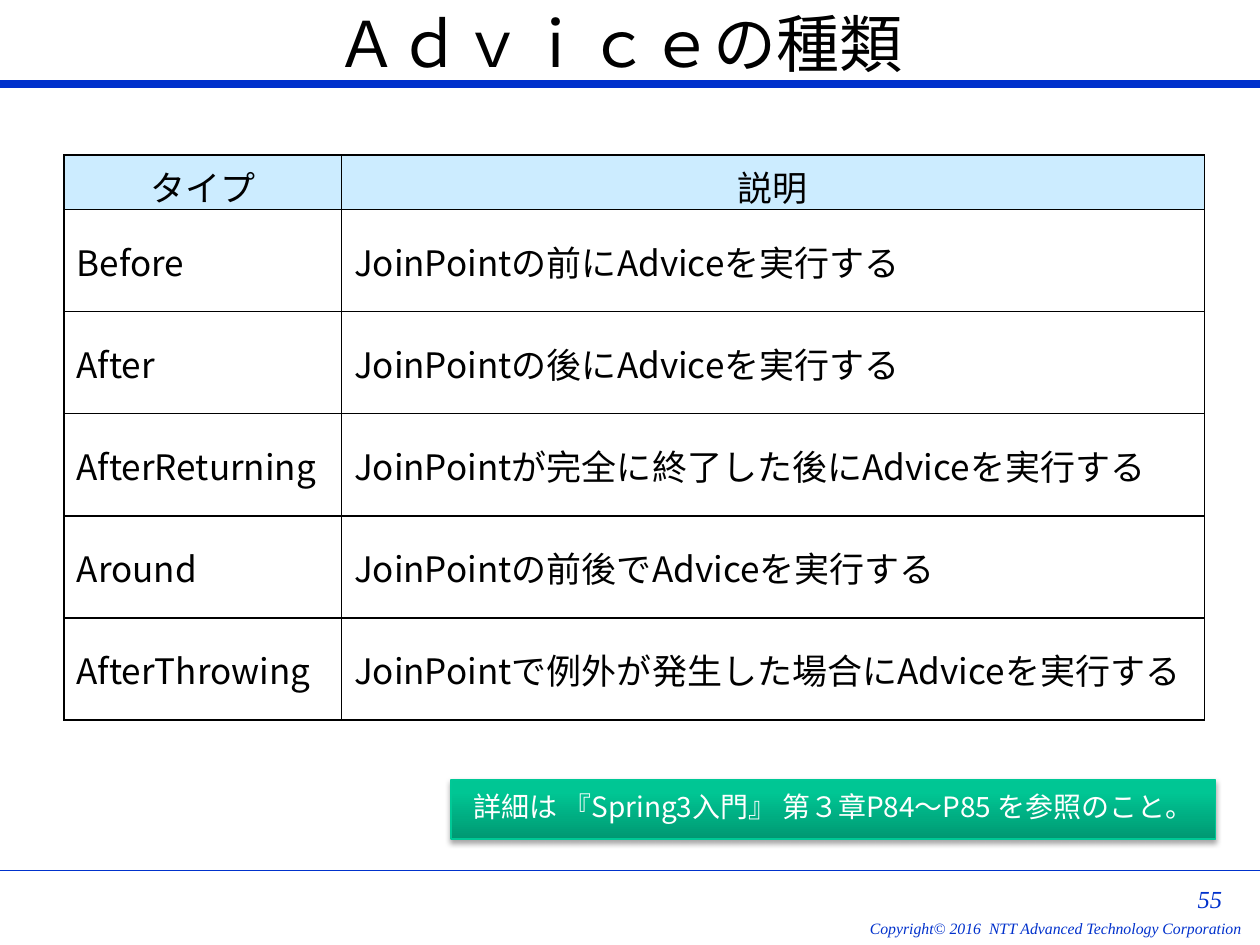
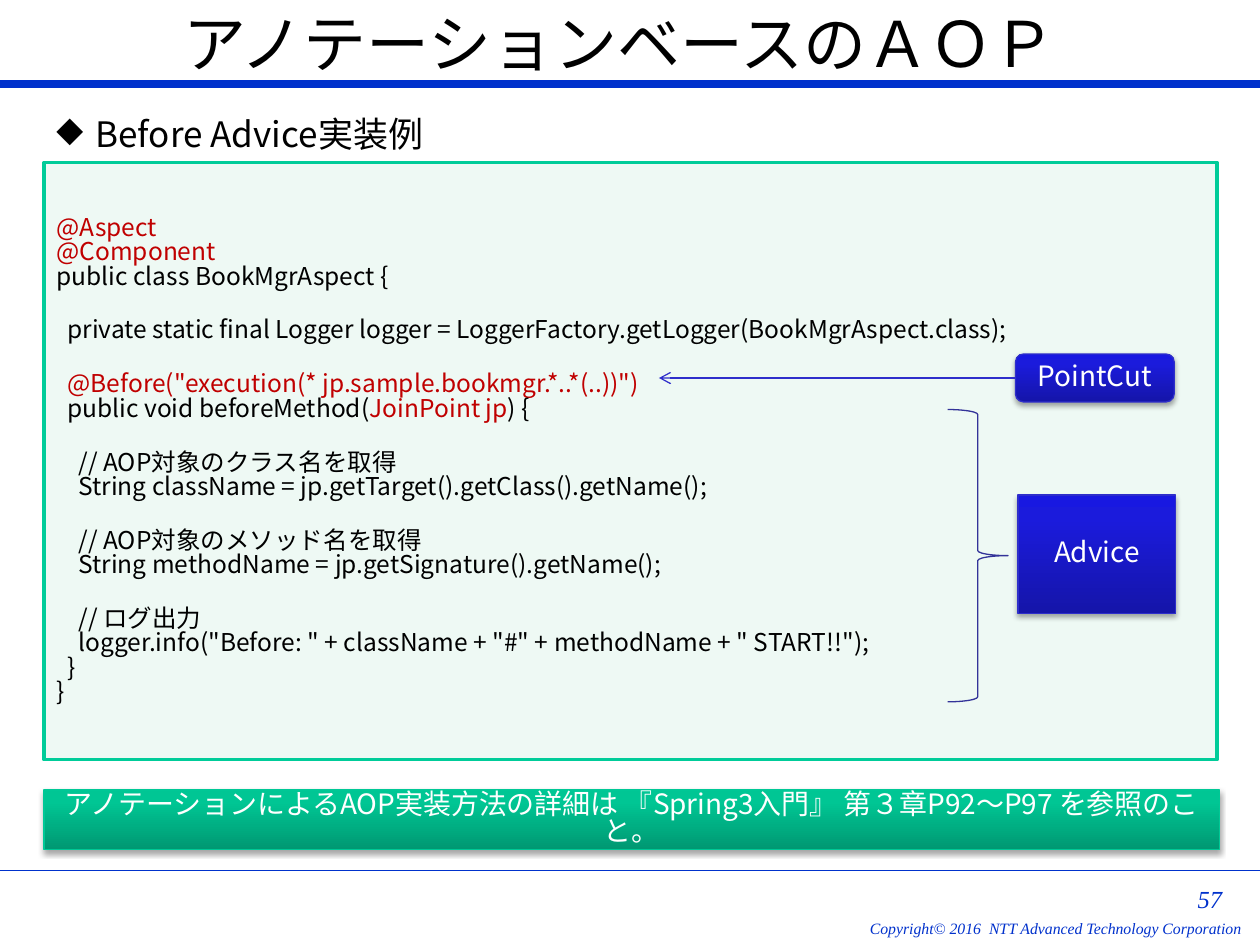
from copy import deepcopy

from lxml.etree import SubElement as Sub
from pptx import Presentation
from pptx.dml.color import RGBColor as RGB
from pptx.enum.shapes import MSO_CONNECTOR as CONN, MSO_SHAPE as SHAPE
from pptx.enum.text import MSO_ANCHOR as ANCHOR, PP_ALIGN as ALIGN
from pptx.oxml.ns import qn
from pptx.util import Inches, Pt

BLUE = RGB(0x00, 0x31, 0xCC)
BLACK = RGB(0x00, 0x00, 0x00)
WHITE = RGB(0xFF, 0xFF, 0xFF)
RED = RGB(0xC0, 0x00, 0x00)
HEAD = RGB(0xCC, 0xEC, 0xFF)
MINT = RGB(0xEE, 0xF9, 0xF4)
TEAL = RGB(0x00, 0xCC, 0x99)
NAVY = RGB(0x33, 0x33, 0x99)
ROYAL = RGB(0x2E, 0x2E, 0xCB)
# Glossy styles: line colour, then gradient stops from bottom to top
GREEN = (RGB(0x00, 0xC8, 0x96), [(0, RGB(0x00, 0x98, 0x72)),
         (0.8, RGB(0x00, 0xC6, 0x94)), (1, RGB(0x00, 0xC7, 0x95))])
INDIGO = (ROYAL, [(0, RGB(0x15, 0x15, 0xA9)),
          (0.8, RGB(0x1B, 0x1B, 0xDC)), (1, RGB(0x18, 0x18, 0xE1))])

SANS = "Noto Sans CJK JP"
SERIF = "Times New Roman"
BODY = dict(size=Pt(20), name=SANS)
NOTE = dict(size=Pt(16), name=SANS)
CODE = dict(size=Pt(14), name=SANS)
TITLE = dict(size=Pt(36), name=SANS)
PAGE = dict(size=Pt(14), name=SERIF, italic=True)
COPY = dict(size=Pt(9), name=SERIF, italic=True)
TIGHT = 0.83
LINE = Pt(16.8)

ROWS = [
    ("タイプ", "説明"),
    ("Before", "JoinPointの前にAdviceを実行する"),
    ("After", "JoinPointの後にAdviceを実行する"),
    ("AfterReturning", "JoinPointが完全に終了した後にAdviceを実行する"),
    ("Around", "JoinPointの前後でAdviceを実行する"),
    ("AfterThrowing", "JoinPointで例外が発生した場合にAdviceを実行する"),
]

# Red parts of the code stand between bars
LISTING = """|@Aspect|
|@Component|
public class BookMgrAspect {

  private static final Logger logger = LoggerFactory.getLogger(BookMgrAspect.class);

  |@Before("execution(* jp.sample.bookmgr.*..*(..))")|
  public void beforeMethod(|JoinPoint jp|) {

    // AOP対象のクラス名を取得
    String className = jp.getTarget().getClass().getName();

    // AOP対象のメソッド名を取得
    String methodName = jp.getSignature().getName();

    // ログ出力
    logger.info("Before: " + className + "#" + methodName + " START!!");
  }
}"""


def inch(box):
    return [Inches(v) for v in box]


def add_run(para, text, style, color):
    run = para.add_run()
    run.text = text
    for key, value in style.items():
        setattr(run.font, key, value)
    run.font.color.rgb = color
    Sub(run.font._element, qn("a:ea")).set("typeface", style["name"])


def put(frame, text, style, color, align=ALIGN.LEFT):
    frame.word_wrap = True
    frame.vertical_anchor = ANCHOR.MIDDLE
    para = frame.paragraphs[0]
    para.alignment = align
    add_run(para, text, style, color)
    return para


def label(slide, box, text, style, color, align=ALIGN.LEFT, bare=False):
    frame = slide.shapes.add_textbox(*inch(box)).text_frame
    if bare:
        for side in ("left", "top", "right", "bottom"):
            setattr(frame, f"margin_{side}", 0)
    para = put(frame, text, style, color, align)
    return frame, para


def rule(slide, start, end, color, width):
    line = slide.shapes.add_connector(CONN.STRAIGHT, *inch(start + end))
    line.line.color.rgb = color
    line.line.width = Pt(width)
    Sub(line._element.spPr, qn("a:effectLst"))
    return line


def block(slide, kind, box, color, width):
    shape = slide.shapes.add_shape(kind, *inch(box))
    shape.shadow.inherit = False
    shape.line.color.rgb = color
    shape.line.width = Pt(width)
    return shape


def gloss(slide, box, text, look, kind=SHAPE.RECTANGLE):
    """Gradient box with a soft drop shadow and white text."""
    edge, stops = look
    shape = block(slide, kind, box, edge, 0.75)
    fill = shape.fill
    fill.gradient()
    fill.gradient_angle = 90
    props = shape._element.spPr
    group = props.find(".//" + qn("a:gsLst"))
    group.append(deepcopy(group[0]))
    for stop, (place, color) in zip(fill.gradient_stops, stops):
        stop.position = place
        stop.color.rgb = color
    shade = Sub(props.find(qn("a:effectLst")), qn("a:outerShdw"), blurRad="40000",
                dist="23000", dir="5400000", rotWithShape="0")
    tint = Sub(shade, qn("a:srgbClr"), val="000000")
    Sub(tint, qn("a:alpha"), val="35000")
    put(shape.text_frame, text, NOTE, WHITE, ALIGN.CENTER).line_spacing = TIGHT
    return shape


def base(deck, title, page):
    """Blank slide with title, bands and footer."""
    slide = deck.slides.add_slide(deck.slide_layouts[6])
    for y, width in ((0.67, 4.5), (6.91, 0.75)):
        rule(slide, (0, y), (10, y), BLUE, width)
    frame, _ = label(slide, (6.86, 7.29, 2.99, 0.15),
                     "Copyright© 2016  NTT Advanced Technology Corporation",
                     COPY, BLUE, ALIGN.RIGHT, bare=True)
    frame.word_wrap = False
    label(slide, (9.28, 7.05, 0.42, 0.17), page, PAGE, BLUE, ALIGN.RIGHT, bare=True)
    label(slide, (0.75, 0, 8.33, 0.67), title, TITLE, BLACK, ALIGN.CENTER)
    return slide


def edge(cell):
    """Thin black border on all four sides, placed ahead of the fill."""
    props = cell._tc.get_or_add_tcPr()
    for spot, side in enumerate(("lnL", "lnR", "lnT", "lnB")):
        line = Sub(props, qn("a:" + side), w="12700")
        Sub(Sub(line, qn("a:solidFill")), qn("a:srgbClr"), val=str(BLACK))
        props.insert(spot, line)


def grid(slide, box):
    table = slide.shapes.add_table(len(ROWS), 2, *inch(box)).table
    for col, width in zip(table.columns, (2.2, 6.85)):
        col.width = Inches(width)
    for r, texts in enumerate(ROWS):
        table.rows[r].height = Inches(0.81 if r else 0.39)
        for c, text in enumerate(texts):
            cell = table.cell(r, c)
            cell.vertical_anchor = ANCHOR.MIDDLE
            cell.fill.solid()
            cell.fill.fore_color.rgb = WHITE if r else HEAD
            para = cell.text_frame.paragraphs[0]
            para.alignment = ALIGN.LEFT if r else ALIGN.CENTER
            add_run(para, text, BODY, BLACK)
            edge(cell)


def code(slide, box):
    panel = block(slide, SHAPE.RECTANGLE, box, TEAL, 2)
    panel.fill.solid()
    panel.fill.fore_color.rgb = MINT
    frame = panel.text_frame
    frame.word_wrap = True
    frame.vertical_anchor = ANCHOR.MIDDLE
    para, gap = frame.paragraphs[0], False
    for n, text in enumerate(LISTING.split("\n")):
        if not text:
            gap = True
            continue
        if n:
            para = frame.add_paragraph()
        para.alignment = ALIGN.LEFT
        para.line_spacing = TIGHT
        if gap:
            para.space_before = LINE
        gap = False
        for i, part in enumerate(text.split("|")):
            if part:
                add_run(para, part, CODE, RED if i % 2 else BLACK)


def heading(slide, box, text):
    _, para = label(slide, box, text, BODY, BLACK)
    props = para._p.get_or_add_pPr()
    props.set("marL", str(Inches(0.31)))
    props.set("indent", str(-Inches(0.31)))
    Sub(props, qn("a:buChar"), char="◆")


def marks(slide, left, top):
    """Callouts beside the code: pointcut arrow, brace and advice box."""
    gloss(slide, (left + 0.56, top + 1.12, 1.25, 0.94), "Advice", INDIGO)
    cut = gloss(slide, (left + 0.54, top, 1.26, 0.38), "PointCut", INDIGO,
                SHAPE.ROUNDED_RECTANGLE)
    mid = top + 0.19
    arrow = rule(slide, (left + 0.54, mid), (left - 2.29, mid), ROYAL, 0.75)
    arrow.begin_connect(cut, 1)
    Sub(arrow.line._get_or_add_ln(), qn("a:tailEnd"), type="arrow")
    brace = block(slide, SHAPE.RIGHT_BRACE, (left, top + 0.44, 0.48, 2.32), NAVY, 0.75)
    brace.fill.background()


def types(deck):
    slide = base(deck, "Ａｄｖｉｃｅの種類", "55")
    grid(slide, (0.51, 1.23, 9.05, 4.44))
    gloss(slide, (3.58, 6.19, 6.07, 0.47),
          "詳細は 『Spring3入門』 第３章P84～P85 を参照のこと。", GREEN)


def sample(deck):
    slide = base(deck, "アノテーションベースのＡＯＰ", "57")
    code(slide, (0.35, 1.29, 9.31, 4.74))
    heading(slide, (0.35, 0.84, 8.04, 0.44), "Before Advice実装例")
    marks(slide, 7.52, 2.81)
    gloss(slide, (0.35, 6.27, 9.33, 0.47),
          "アノテーションによるAOP実装方法の詳細は 『Spring3入門』 第３章P92～P97 を参照のこと。",
          GREEN)


def main():
    deck = Presentation()
    deck.slide_width, deck.slide_height = Inches(10), Inches(7.5)
    types(deck)
    sample(deck)
    deck.save("out.pptx")


if __name__ == "__main__":
    main()
